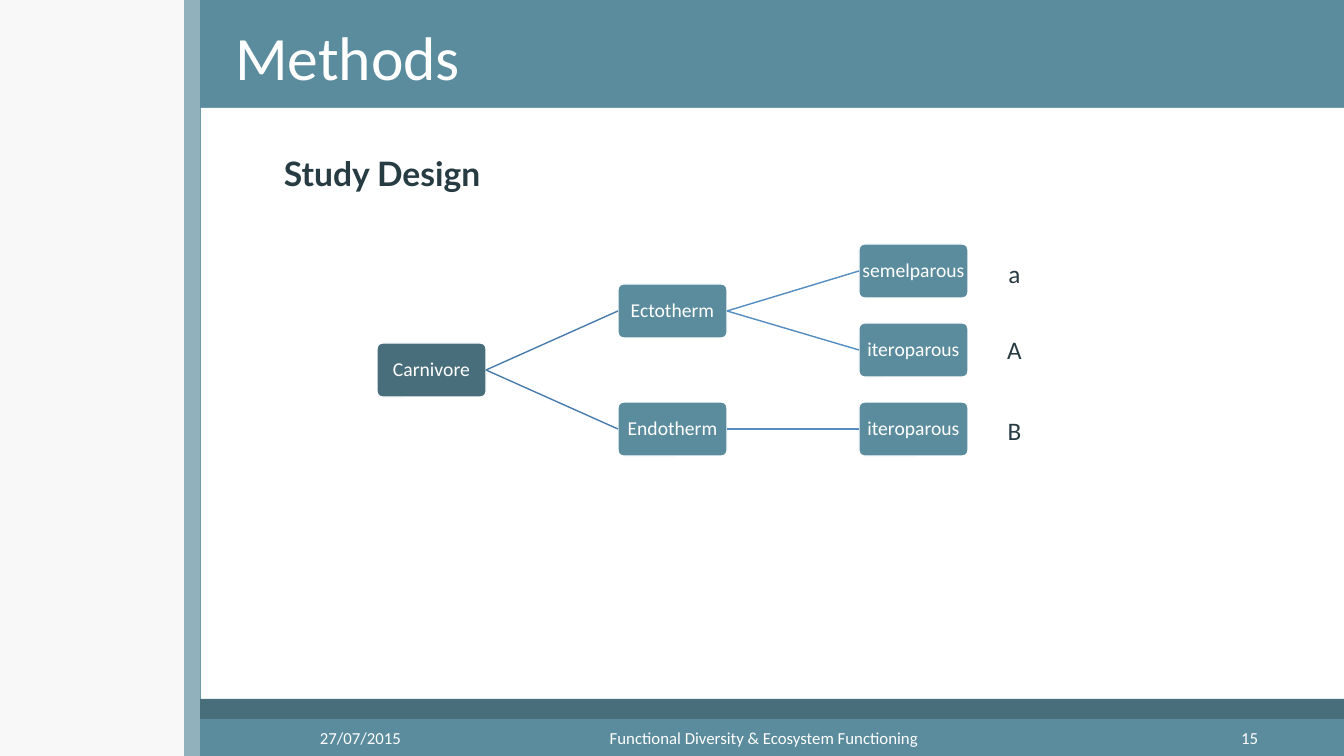
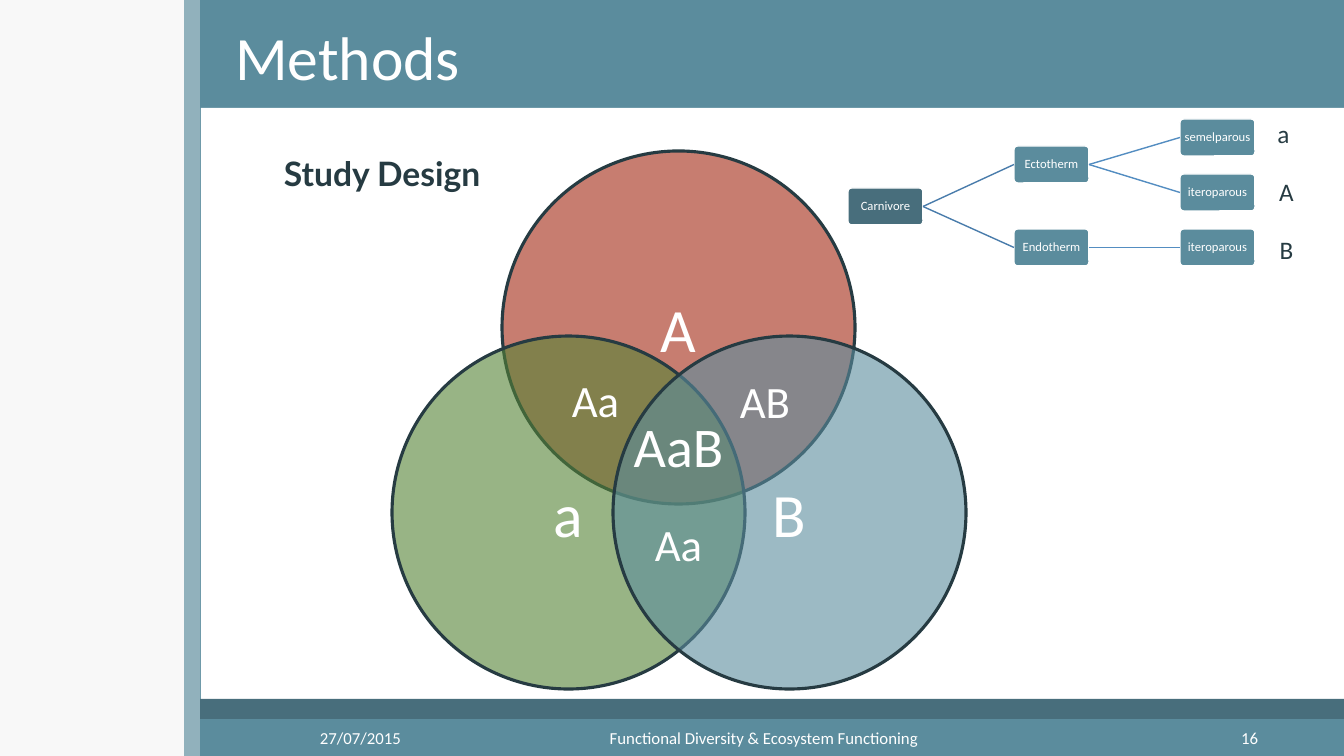
from lxml import etree
from pptx import Presentation
from pptx import util as u
from pptx.dml.color import RGBColor
from pptx.enum import shapes, text
from pptx.oxml.ns import qn

SCALE = 12192000 / 1344
WIDE, HIGH = 1344, 756
PALE, WHITE, INK = "F8F8F8", "FFFFFF", "263B42"
TEAL, DEEP = "5B8C9D", "486E7C"
RED, GREEN = "A22712", "548235"
ROOT, LINK = "497CAB", "538DC1"
LEFT, MID, RIGHT = text.PP_ALIGN.LEFT, text.PP_ALIGN.CENTER, text.PP_ALIGN.RIGHT
TOP, HALF = text.MSO_ANCHOR.TOP, text.MSO_ANCHOR.MIDDLE
KIND = shapes.MSO_SHAPE

NODES = {
    "root": ("Carnivore", 0, 1.25, DEEP),
    "ecto": ("Ectotherm", 1, 0.5, TEAL),
    "endo": ("Endotherm", 1, 2, TEAL),
    "semel": ("semelparous", 2, 0, TEAL),
    "itero": ("iteroparous", 2, 1, TEAL),
    "last": ("iteroparous", 2, 2, TEAL),
}
LINKS = [
    ("root", "ecto", ROOT),
    ("root", "endo", ROOT),
    ("ecto", "semel", LINK),
    ("ecto", "itero", LINK),
    ("endo", "last", LINK),
]


def px(num):
    return u.Emu(round(num * SCALE))


def rgb(code):
    return RGBColor.from_string(code)


def write(shape, words, size, color=WHITE, face="Calibri", bold=False,
          align=MID, anchor=HALF, wrap=True, space=None, inset=None):
    frame = shape.text_frame
    frame.word_wrap = wrap
    frame.auto_size = text.MSO_AUTO_SIZE.NONE
    frame.vertical_anchor = anchor
    if inset is not None:
        frame.margin_left = frame.margin_right = px(inset)
        frame.margin_top = frame.margin_bottom = px(inset)
    para = frame.paragraphs[0]
    para.alignment = align
    if space:
        para.line_spacing = space
    run = para.add_run()
    run.text = words
    run.font.size = u.Pt(size)
    run.font.name = face
    run.font.bold = bold
    run.font.color.rgb = rgb(color)


def draw(slide, kind, box, fill, line=None, width=1, alpha=None):
    shape = slide.shapes.add_shape(kind, *map(px, box))
    shape.shadow.inherit = False
    shape.fill.solid()
    shape.fill.fore_color.rgb = rgb(fill)
    if alpha:
        tone = shape.element.spPr.find(qn("a:solidFill"))[0]
        etree.SubElement(tone, qn("a:alpha"), val=str(alpha * 1000))
    if line:
        shape.line.color.rgb = rgb(line)
        shape.line.width = u.Pt(width)
    else:
        shape.line.fill.background()
    return shape


def label(slide, box, words, size, **style):
    shape = slide.shapes.add_textbox(*map(px, box))
    write(shape, words, size, **style)
    return shape


def link(slide, start, end, color):
    line = slide.shapes.add_connector(shapes.MSO_CONNECTOR.STRAIGHT, 0, 0, 0, 0)
    line.begin_connect(start, 3)
    line.end_connect(end, 1)
    line.line.color.rgb = rgb(color)
    line.line.width = u.Pt(1)
    etree.SubElement(line.element.spPr, qn("a:effectLst"))


def tree(slide, left, top, size, step, points):
    boxes = {}
    for key, (words, col, row, fill) in NODES.items():
        spot = (left + col * step[0], round(top + row * step[1]), *size)
        node = draw(slide, KIND.ROUNDED_RECTANGLE, spot, fill, WHITE)
        node.adjustments[0] = 0.1
        write(node, words, points, wrap=False, space=0.9, inset=1)
        boxes[key] = node
    for start, end, color in LINKS:
        link(slide, boxes[start], boxes[end], color)


def tags(slide, width, spots):
    for words, left, top in spots:
        label(slide, (left, top, width, 40), words, 18, color=INK, anchor=TOP)


def venn(slide):
    for words, left, top, fill in [("A", 502, 151, RED), ("a", 392, 336, GREEN),
                                   ("B", 613, 336, TEAL)]:
        disc = draw(slide, KIND.OVAL, (left, top, 353, 353), fill, INK, 2.25, 60)
        write(disc, words, 44)
    for words, box, size in [("AaB", (586, 407, 185, 78), 40),
                             ("Aa", (561, 368, 69, 65), 32),
                             ("AB", (729, 369, 72, 65), 32),
                             ("Aa", (644, 512, 69, 65), 32)]:
        label(slide, box, words, size, anchor=TOP, wrap=False)


def theme(deck, lay):
    lay.background.fill.solid()
    lay.background.fill.fore_color.rgb = rgb(PALE)
    for hold in list(lay.placeholders):
        if hold.placeholder_format.idx:
            hold.element.getparent().remove(hold.element)
        else:
            hold.left, hold.top, hold.width, hold.height = map(px, (225, 9, 1119, 103))
    slide = deck.slides.add_slide(lay)
    parts = [
        draw(slide, KIND.RECTANGLE, (184, 0, 16, HIGH), TEAL, alpha=65),
        draw(slide, KIND.RECTANGLE, (200, 0, WIDE - 200, HIGH), TEAL),
        draw(slide, KIND.RECTANGLE, (201, 108, WIDE - 201, 592), WHITE),
        draw(slide, KIND.RECTANGLE, (200, 699, WIDE - 200, 20), DEEP),
        label(slide, (109, 718, 302, 40), "27/07/2015", 12, align=RIGHT),
        label(slide, (537, 718, 454, 40),
              "Functional Diversity & Ecosystem Functioning", 12),
    ]
    for part in parts:
        lay.shapes.element.append(part.element)
    return slide


def head(slide, page):
    write(slide.shapes.title, "Methods", 44, align=LEFT, space=0.9)
    label(slide, (966, 718, 302, 40), page, 12, align=RIGHT)
    label(slide, (274, 148, 300, 82), "Study Design", 24, color=INK,
          face="Lato", bold=True, align=LEFT, anchor=TOP)


def main():
    deck = Presentation()
    deck.slide_width, deck.slide_height = px(WIDE), px(HIGH)
    lay = deck.slide_layouts[5]

    plan = theme(deck, lay)
    head(plan, "15")
    tree(plan, 377, 244, (109, 54), (241, 79), 14)
    tags(plan, 111, [("a", 959, 253), ("A", 959, 329), ("B", 959, 410)])

    sets = deck.slides.add_slide(lay)
    head(sets, "16")
    venn(sets)
    tree(sets, 848, 119, (75, 37), (166, 55), 9)
    tags(sets, 77, [("a", 1245, 113), ("A", 1248, 171), ("B", 1248, 229)])

    deck.save("out.pptx")


if __name__ == "__main__":
    main()
